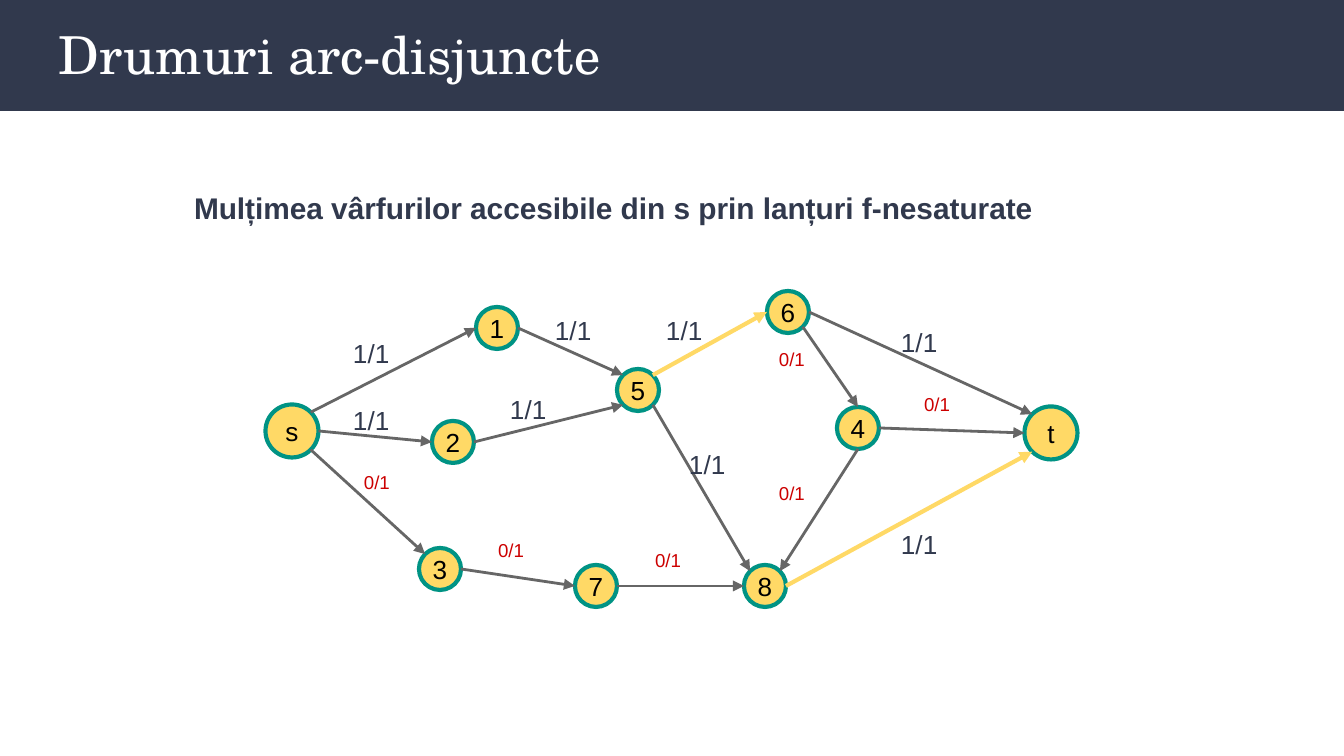
import math
from lxml import etree
from pptx import Presentation
from pptx import util as u
from pptx.dml.color import RGBColor
from pptx.enum import shapes, text
from pptx.oxml.ns import qn

NAVY = RGBColor(0x31, 0x39, 0x4D)
GOLD = RGBColor(0xFF, 0xD9, 0x66)
TEAL = RGBColor(0x00, 0x93, 0x84)
GREY = RGBColor(0x66, 0x66, 0x66)
RED = RGBColor(0xCC, 0x00, 0x00)
WHITE = RGBColor(0xFF, 0xFF, 0xFF)
BLACK = RGBColor(0x00, 0x00, 0x00)

SCALE = 914400 / 134.4
SANS, SERIF = "Arial", "TeX Gyre Schola"
PAD = 13


def px(n):
    return u.Emu(round(n * SCALE))


class Graph:
    """Holds the slide, its style and the nodes placed so far."""

    def __init__(self, slide):
        self.slide = slide
        self.nodes = {}

    def fill_text(self, shape, words, size, color, font=SANS, bold=False,
                  pad=PAD, align=text.PP_ALIGN.LEFT,
                  anchor=text.MSO_ANCHOR.TOP):
        frame = shape.text_frame
        frame.text = words
        frame.word_wrap = True
        frame.auto_size = text.MSO_AUTO_SIZE.NONE
        frame.vertical_anchor = anchor
        frame.margin_left = frame.margin_right = px(pad)
        frame.margin_top = frame.margin_bottom = px(pad)
        line = frame.paragraphs[0]
        line.alignment = align
        face = line.runs[0].font
        face.name, face.size, face.bold = font, u.Pt(size), bold
        face.color.rgb = color

    def shape(self, kind, x, y, w, h, fill):
        item = self.slide.shapes.add_shape(kind, px(x), px(y), px(w), px(h))
        item.shadow.inherit = False
        item.fill.solid()
        item.fill.fore_color.rgb = fill
        item.line.fill.background()
        return item

    def title(self, words):
        bar = self.shape(shapes.MSO_SHAPE.RECTANGLE, 0, 0, 1344, 111, NAVY)
        head = self.slide.shapes.title
        head.element.addprevious(bar.element)
        head.left, head.top = px(46), px(8)
        head.width, head.height = px(1253), px(91)
        self.fill_text(head, words, 28, WHITE, SERIF,
                       anchor=text.MSO_ANCHOR.MIDDLE)

    def label(self, words, x, y, w, h, size, color, bold=False):
        box = self.slide.shapes.add_textbox(px(x), px(y), px(w), px(h))
        self.fill_text(box, words, size, color, bold=bold)

    def node(self, name, x, y, size=42):
        r = size / 2
        dot = self.shape(shapes.MSO_SHAPE.OVAL, x - r, y - r, size, size, GOLD)
        dot.line.color.rgb = TEAL
        dot.line.width = u.Pt(2.25)
        self.fill_text(dot, name, 14, BLACK, pad=3,
                       align=text.PP_ALIGN.CENTER,
                       anchor=text.MSO_ANCHOR.MIDDLE)
        self.nodes[name] = x, y, r

    def rim(self, name, turn):
        """Point on a node's edge, turn in degrees clockwise from the right."""
        x, y, r = self.nodes[name]
        a = math.radians(turn)
        return px(x + r * math.cos(a)), px(y + r * math.sin(a))

    def arc(self, start, out, end, into, color=GREY, width=1.5):
        line = self.slide.shapes.add_connector(
            shapes.MSO_CONNECTOR.STRAIGHT,
            *self.rim(start, out), *self.rim(end, into))
        line.line.color.rgb = color
        line.line.width = u.Pt(width)
        props = line.element.spPr
        tip = etree.SubElement(props.find(qn("a:ln")), qn("a:tailEnd"))
        tip.set("type", "triangle")
        etree.SubElement(props, qn("a:effectLst"))


def main():
    deck = Presentation()
    deck.slide_width, deck.slide_height = px(1344), px(756)
    graph = Graph(deck.slides.add_slide(deck.slide_layouts[5]))

    # Heading
    graph.title("Drumuri arc-disjuncte")
    graph.label("Mulțimea vârfurilor accesibile din s prin lanțuri f-nesaturate",
                181, 177, 1118, 60, 16, NAVY, bold=True)

    # Nodes, by centre
    graph.node("s", 292, 431, 53)
    graph.node("t", 1051, 433, 53)
    for name, x, y in [("1", 497, 328), ("2", 453, 442), ("3", 440, 569),
                       ("4", 858, 428), ("5", 638, 390), ("6", 788, 312),
                       ("7", 596, 586), ("8", 765, 586)]:
        graph.node(name, x, y)

    # Arcs, with the angle at which each leaves and arrives
    for ends in [("s", -45, "1", 180), ("s", 0, "2", 180), ("s", 45, "3", 225),
                 ("1", 0, "5", 225), ("2", 0, "5", 135), ("3", 0, "7", 180),
                 ("5", 45, "8", 225), ("7", 0, "8", 180), ("6", 45, "4", -90),
                 ("4", 90, "8", -45), ("6", 0, "t", 225), ("4", 0, "t", 180)]:
        graph.arc(*ends)
    for ends in [("5", -45, "6", 180), ("8", 0, "t", 135)]:
        graph.arc(*ends, GOLD, 2.25)

    # Flow on each arc: used, then free
    for x, y in [(340, 324), (542, 301), (497, 380), (340, 391),
                 (676, 435), (653, 301), (888, 313), (888, 515)]:
        graph.label("1/1", x, y, 65, 59, 14, NAVY)
    for x, y in [(351, 458), (485, 526), (642, 536),
                 (766, 469), (766, 335), (911, 380)]:
        graph.label("0/1", x, y, 75, 50, 10, RED)

    deck.save("out.pptx")


if __name__ == "__main__":
    main()
